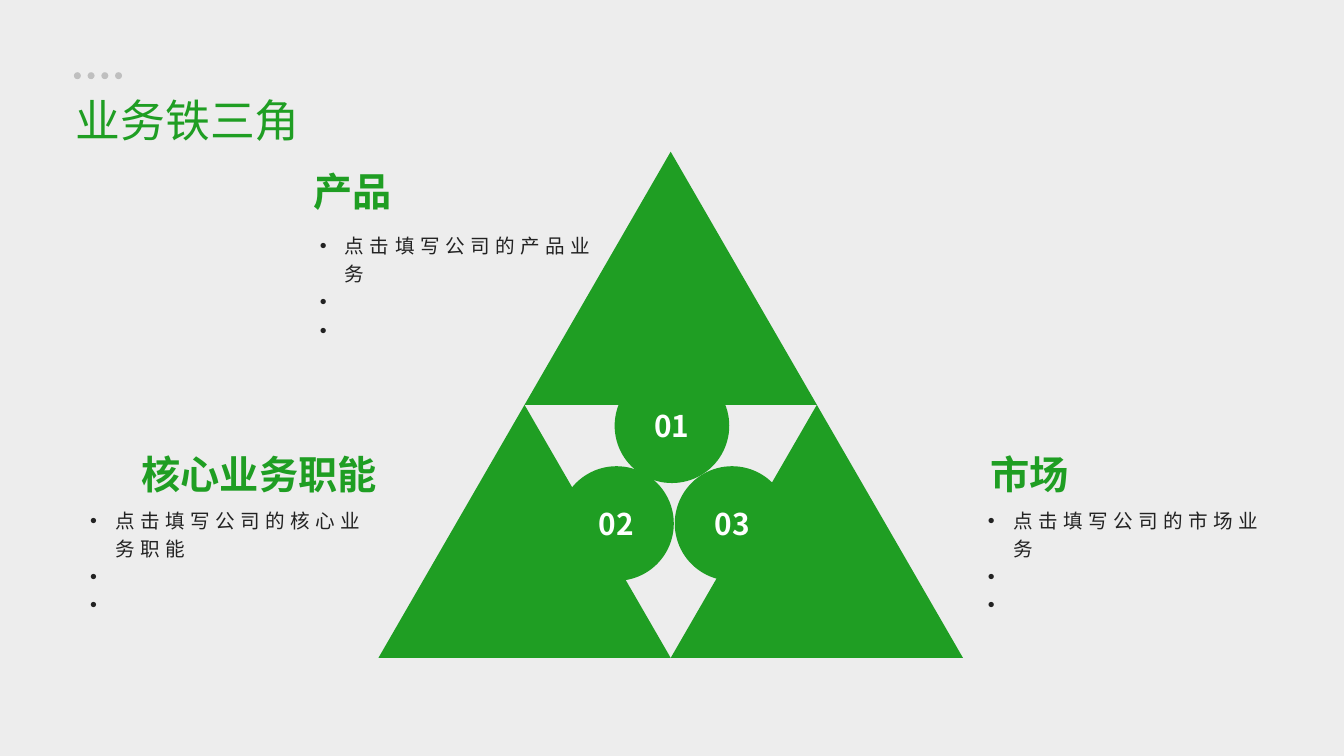
import pptx
import pptx.util
import pptx.dml.color
import pptx.enum.shapes
import pptx.enum.text
import pptx.oxml.ns
from lxml import etree

Pt = pptx.util.Pt
RGBColor = pptx.dml.color.RGBColor
SHAPE = pptx.enum.shapes.MSO_SHAPE
ALIGN = pptx.enum.text.PP_ALIGN
ANCHOR = pptx.enum.text.MSO_ANCHOR
AUTO_SIZE = pptx.enum.text.MSO_AUTO_SIZE
qn = pptx.oxml.ns.qn

GREEN = RGBColor(0x1F, 0x9E, 0x23)
GRAY = RGBColor(0xBF, 0xBF, 0xBF)
DARK = RGBColor(0x22, 0x22, 0x22)
WHITE = RGBColor(0xFF, 0xFF, 0xFF)
BACKGROUND = RGBColor(0xED, 0xED, 0xED)
FONT = "Noto Sans CJK SC"


def write(tf, *texts, size, color, bold=False, align=ALIGN.LEFT, anchor=ANCHOR.TOP,
          inset=None, wrap=True, grow=True, bullet=False, tracking=0):
    """Fill a text frame with one paragraph per text."""
    tf.word_wrap = wrap
    tf.auto_size = AUTO_SIZE.SHAPE_TO_FIT_TEXT if grow else AUTO_SIZE.NONE
    tf.vertical_anchor = anchor
    if inset is not None:
        tf.margin_left = tf.margin_right = tf.margin_top = tf.margin_bottom = Pt(inset)
    for i, text in enumerate(texts):
        p = tf.add_paragraph() if i else tf.paragraphs[0]
        p.alignment = align
        if bullet:
            p.line_spacing = 1.2
            pPr = p._p.get_or_add_pPr()
            pPr.set("marL", str(Pt(13.5)))
            pPr.set("indent", str(-Pt(13.5)))
            etree.SubElement(pPr, qn("a:buFont")).set("typeface", "Arial")
            etree.SubElement(pPr, qn("a:buChar")).set("char", "•")
        r = p.add_run()
        r.text = text
        r.font.size = Pt(size)
        r.font.bold = bold
        r.font.color.rgb = color
        r.font.name = FONT
        rPr = r._r.get_or_add_rPr()
        etree.SubElement(rPr, qn("a:ea")).set("typeface", FONT)
        if tracking:
            rPr.set("spc", str(tracking * 100))


def add_filled(s, kind, left, top, width, height, color):
    sp = s.shapes.add_shape(kind, Pt(left), Pt(top), Pt(width), Pt(height))
    sp.shadow.inherit = False
    sp.fill.solid()
    sp.fill.fore_color.rgb = color
    sp.line.fill.background()
    return sp


prs = pptx.Presentation()
prs.slide_width, prs.slide_height = Pt(720), Pt(405)
s = prs.slides.add_slide(prs.slide_layouts[5])
s.background.fill.solid()
s.background.fill.fore_color.rgb = BACKGROUND

# Title with its row of dots
for i in range(4):
    add_filled(s, SHAPE.OVAL, 39.6 + 7.35 * i, 38.7, 3.7, 3.7, GRAY)
title = s.shapes.title
title.left, title.top, title.width, title.height = Pt(33.4), Pt(46), Pt(134.6), Pt(36)
write(title.text_frame, "业务铁三角", size=24, color=GREEN, wrap=False)

# Three triangles stacked into one large triangle
TRI_W, TRI_H = 156.6, 135.6
CENTER, APEX = 359.3, 81.3
for column, row in ((0, 0), (-1, 1), (1, 1)):
    add_filled(s, SHAPE.ISOSCELES_TRIANGLE, CENTER + (column - 1) * TRI_W / 2,
               APEX + row * TRI_H, TRI_W, TRI_H, GREEN)

# Numbered circles around the centre
DIAMETER = 61.4
for number, left, top in (("01", 329.3, 197.4), ("02", 299.6, 249.8), ("03", 361.5, 249.8)):
    sp = add_filled(s, SHAPE.OVAL, left, top, DIAMETER, DIAMETER, GREEN)
    write(sp.text_frame, number, size=16, color=WHITE, bold=True, align=ALIGN.CENTER,
          anchor=ANCHOR.MIDDLE, inset=0, grow=False)

# Heading (left, top, width) and bulleted text (left, top) for each corner
corners = (
    ("产品", (168, 89.5, 42), "点击填写公司的产品业务", (164.2, 119.4)),
    ("核心业务职能", (75.8, 241.2, 126), "点击填写公司的核心业务职能", (41.2, 266.6)),
    ("市场", (530.8, 241.2, 42), "点击填写公司的市场业务", (522.2, 266.6)),
)
for heading, (left, top, width), body, (body_left, body_top) in corners:
    sp = s.shapes.add_textbox(Pt(left), Pt(top), Pt(width), Pt(25.2))
    write(sp.text_frame, heading, size=21, color=GREEN, bold=True, align=ALIGN.CENTER,
          anchor=ANCHOR.BOTTOM, inset=0, wrap=False)
    sp = s.shapes.add_textbox(Pt(body_left), Pt(body_top), Pt(167), Pt(68.4))
    write(sp.text_frame, body, " ", " ", size=10.5, color=DARK, bullet=True, tracking=3)

prs.save("out.pptx")
